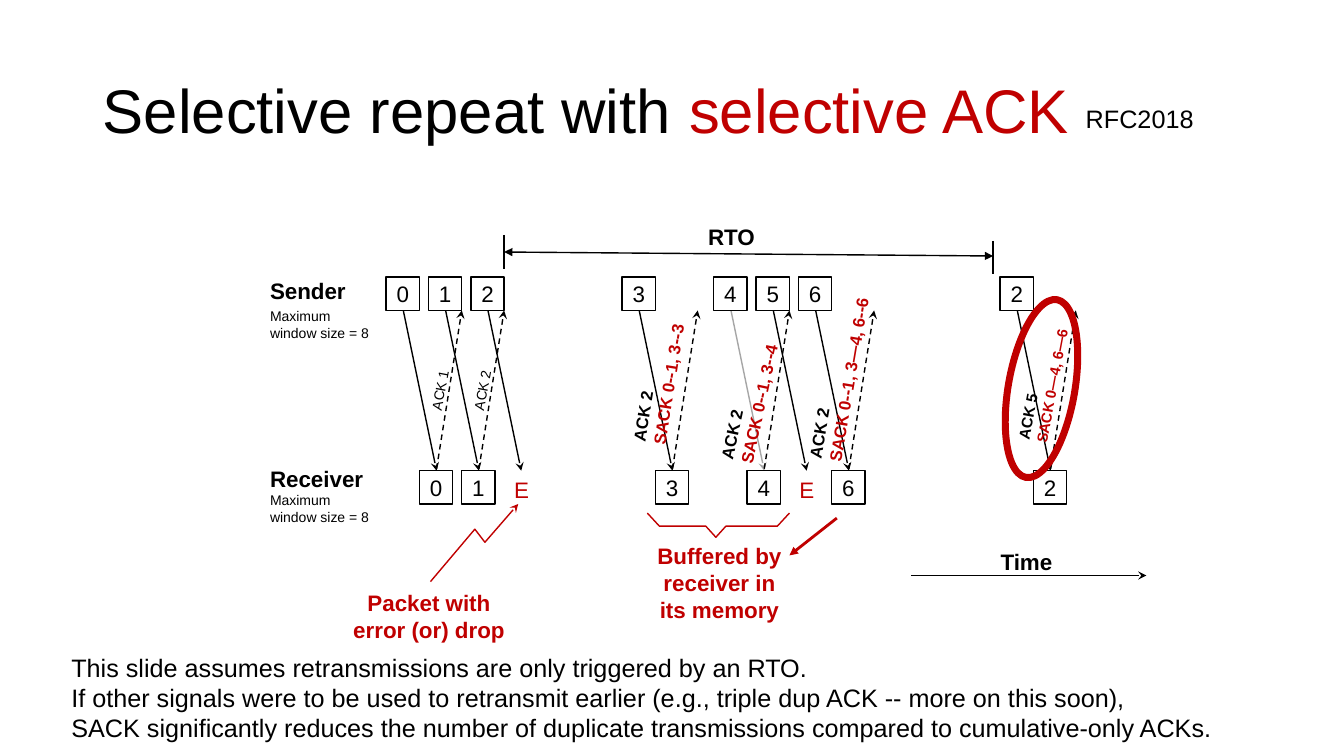
"""Build a slide showing selective repeat with selective acknowledgements."""
import pptx
import pptx.dml.color
import pptx.enum.dml
import pptx.enum.shapes
import pptx.enum.text
import pptx.oxml.ns
import pptx.util
from lxml import etree

PX = 9144
FONT = "Arial"
BLACK = pptx.dml.color.RGBColor(0x00, 0x00, 0x00)
WHITE = pptx.dml.color.RGBColor(0xFF, 0xFF, 0xFF)
RED = pptx.dml.color.RGBColor(0xC0, 0x00, 0x00)
GRAY = pptx.dml.color.RGBColor(0xA6, 0xA6, 0xA6)
LEFT = pptx.enum.text.PP_ALIGN.LEFT
CENTER = pptx.enum.text.PP_ALIGN.CENTER
MIDDLE = pptx.enum.text.MSO_ANCHOR.MIDDLE
SHAPES = pptx.enum.shapes.MSO_SHAPE
qn = pptx.oxml.ns.qn

presentation = pptx.Presentation()
presentation.slide_width = 1333 * PX
presentation.slide_height = 750 * PX
slide = presentation.slides.add_slide(presentation.slide_layouts[5])


def add_label(text, box, size, color=BLACK, bold=False, align=LEFT, rotation=0, wrap=False):
    """Add a text box with one paragraph per line and return it."""
    label = slide.shapes.add_textbox(*[value * PX for value in box])
    label.rotation = rotation
    label.text_frame.word_wrap = wrap
    label.text_frame.text = text
    for paragraph in label.text_frame.paragraphs:
        paragraph.alignment = align
        paragraph.font.name = FONT
        paragraph.font.size = pptx.util.Pt(size)
        paragraph.font.bold = bold
        paragraph.font.color.rgb = color
    return label


def add_path(points, color=BLACK, width=1, dashed=False, head=None, tail=None):
    """Draw a connector between two points, or an open outline through more."""
    scaled = [(x * PX, y * PX) for x, y in points]
    if len(points) == 2:
        path = slide.shapes.add_connector(
            pptx.enum.shapes.MSO_CONNECTOR.STRAIGHT, *scaled[0], *scaled[1])
    else:
        builder = slide.shapes.build_freeform(*scaled[0])
        builder.add_line_segments(scaled[1:], close=False)
        path = builder.convert_to_shape()
        path.fill.background()
    path.line.color.rgb = color
    path.line.width = pptx.util.Pt(width)
    if dashed:
        path.line.dash_style = pptx.enum.dml.MSO_LINE.DASH
    properties = path._element.spPr
    outline = properties.find(qn("a:ln"))
    for tag, arrow in (("a:headEnd", head), ("a:tailEnd", tail)):
        if arrow:
            etree.SubElement(outline, qn(tag), type=arrow)
    etree.SubElement(properties, qn("a:effectLst"))


title = slide.shapes.title
title.left, title.top, title.width, title.height = [v * PX for v in (92, 40, 1150, 145)]
title.text_frame.auto_size = pptx.enum.text.MSO_AUTO_SIZE.NONE
title.text_frame.vertical_anchor = MIDDLE
heading = title.text_frame.paragraphs[0]
heading.alignment = LEFT
heading.line_spacing = 0.9
for text, color in (("Selective repeat with ", BLACK), ("selective ACK", RED)):
    run = heading.add_run()
    run.text = text
    run.font.name = FONT
    run.font.size = pptx.util.Pt(44)
    run.font.color.rgb = color
add_label("RFC2018", (1067, 98, 208, 40), 18, wrap=True)

SENDER_TOP, RECEIVER_TOP, BOX = 275, 467, 33
packets = [("0", 383, True), ("1", 425, True), ("2", 467, False), ("3", 617, True),
           ("4", 708, True), ("5", 750, False), ("6", 792, True), ("2", 992, True)]

for number, left, received in packets:
    color = GRAY if number == "4" else BLACK
    add_path([(left + 17, 308), (left + 50, 467)], color, tail="stealth")
    if received:
        add_path([(left + 50, 465), (left + 75, 308)], dashed=True, tail="stealth")

for number, left, received in packets:
    corners = [(left, SENDER_TOP)]
    if received:
        corners.append((left + BOX, RECEIVER_TOP))
    else:
        add_label("E", (left + BOX, RECEIVER_TOP, 35, 37), 16, RED)
    for x, y in corners:
        box = slide.shapes.add_shape(SHAPES.RECTANGLE, x * PX, y * PX, BOX * PX, BOX * PX)
        box.shadow.inherit = False
        box.fill.solid()
        box.fill.fore_color.rgb = WHITE
        box.line.color.rgb = BLACK
        box.line.width = pptx.util.Pt(1)
        box.text_frame.word_wrap = False
        box.text_frame.vertical_anchor = MIDDLE
        box.text_frame.text = number
        paragraph = box.text_frame.paragraphs[0]
        paragraph.alignment = CENTER
        paragraph.font.name = FONT
        paragraph.font.size = pptx.util.Pt(16)
        paragraph.font.color.rgb = BLACK

for text, left in (("ACK 1", 406), ("ACK 2", 448)):
    add_label(text, (left, 373, 61, 27), 10, rotation=280.6)

for text, box, size, sack_size, rotation, wrap in (
    ("ACK 2\nSACK 0--1, 3--3", (578, 348, 153, 51), 12, 12, 279.1, True),
    ("ACK 2\nSACK 0--1, 3--4", (652, 347, 194, 51), 12, 12, 282.1, True),
    ("ACK 2\nSACK 0--1, 3—4, 6--6", (736, 345, 194, 51), 12, 12, 279.6, True),
    ("ACK 5\nSACK 0—4, 6—6", (966, 357, 137, 46), 11, 10.5, 280.6, False),
):
    label = add_label(text, box, size, bold=True, rotation=rotation, wrap=wrap)
    sack = label.text_frame.paragraphs[1]
    sack.font.size = pptx.util.Pt(sack_size)
    sack.font.color.rgb = RED

highlight = slide.shapes.add_shape(SHAPES.OVAL, 1000 * PX, 296 * PX, 66 * PX, 179 * PX)
highlight.rotation = 9.9
highlight.shadow.inherit = False
highlight.fill.background()
highlight.line.color.rgb = RED
highlight.line.width = pptx.util.Pt(5)

for name, top, note_top in (("Sender", 270, 300), ("Receiver", 457, 483)):
    add_label(name, (258, top, 113, 37), 16, bold=True)
    add_label("Maximum\nwindow size = 8", (258, note_top, 118, 43), 10)

add_path([(500, 250), (985, 254)], head="triangle", tail="triangle")
add_path([(500, 233), (500, 267)])
add_path([(985, 239), (985, 272)])
add_label("RTO", (692, 216, 67, 37), 16, bold=True, align=CENTER)
add_path([(904, 571), (1137, 571)], tail="stealth")
add_label("Time", (982, 539, 72, 37), 16, bold=True, align=CENTER)

add_path([(642, 509), (654, 522), (700, 522), (710, 533),
          (720, 522), (771, 522), (783, 509)], RED)
add_path([(830, 514), (783, 551)], RED, width=2, tail="triangle")
add_label("Buffered by\nreceiver in\nits memory", (641, 533, 145, 91), 16, RED, True, CENTER)
add_path([(427, 577), (471, 525), (481, 538), (514, 500)], RED, tail="stealth")
add_label("Packet with\nerror (or) drop", (339, 580, 173, 64), 16, RED, True, CENTER)

add_label(
    "This slide assumes retransmissions are only triggered by an RTO.\n"
    "If other signals were to be used to retransmit earlier "
    "(e.g., triple dup ACK -- more on this soon),\n"
    "SACK significantly reduces the number of duplicate transmissions "
    "compared to cumulative-only ACKs.",
    (61, 642, 1180, 101), 18, wrap=True)

presentation.save("out.pptx")
